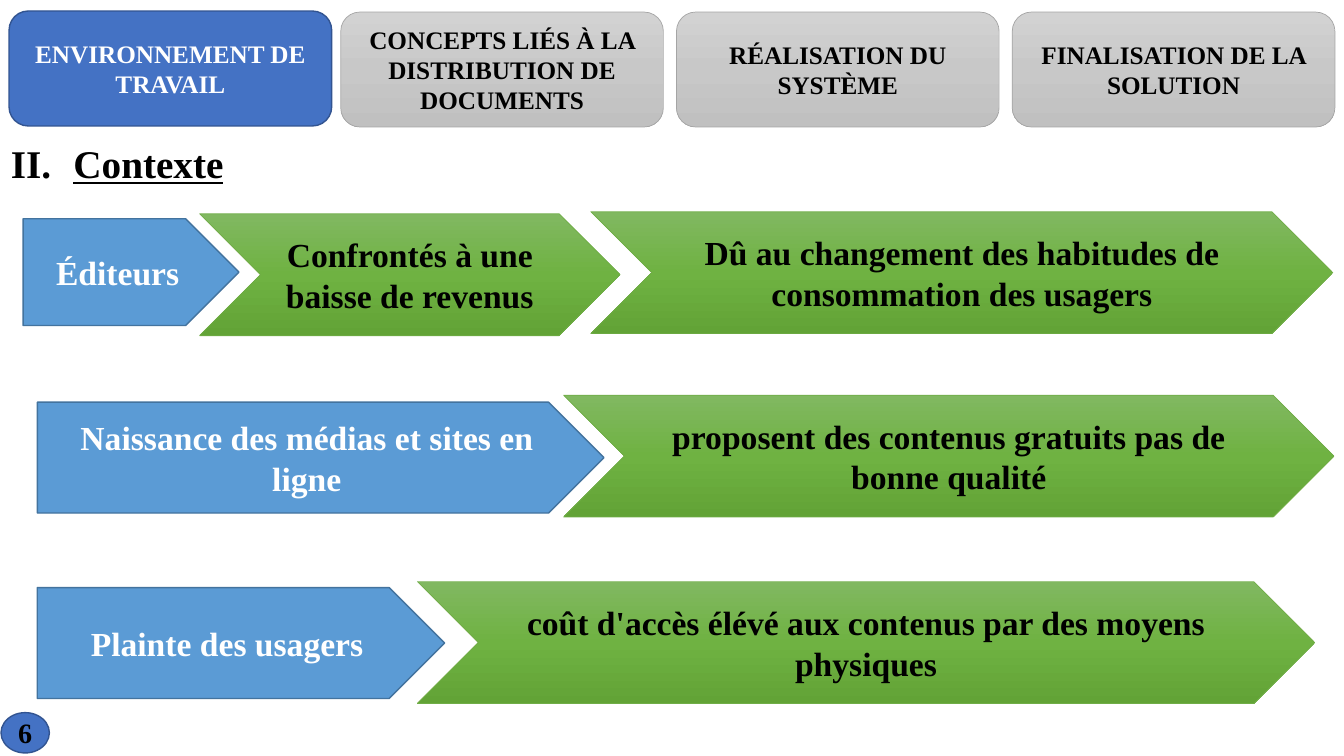
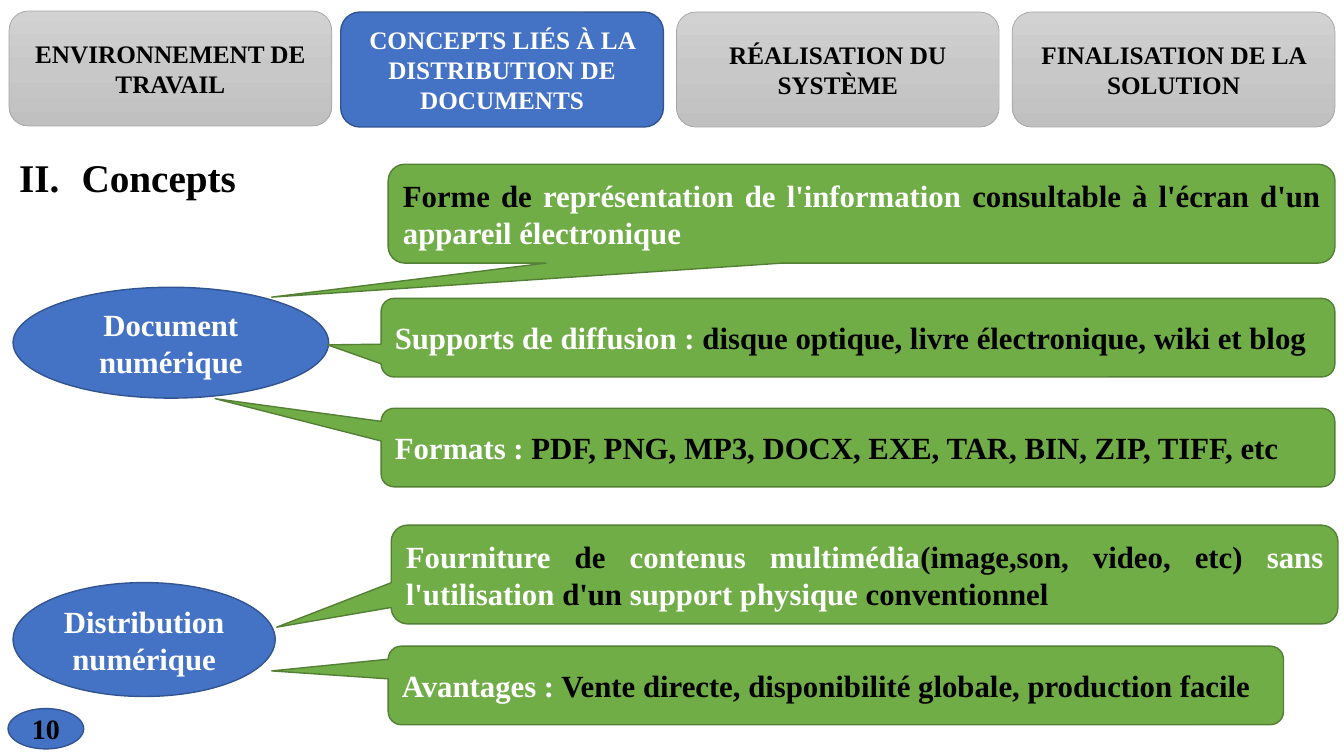
from copy import deepcopy

from lxml import etree
from pptx import Presentation
from pptx.dml.color import RGBColor
from pptx.enum.shapes import MSO_SHAPE
from pptx.enum.text import MSO_ANCHOR, PP_ALIGN
from pptx.oxml.ns import qn
from pptx.util import Inches, Pt

ROUNDED = MSO_SHAPE.ROUNDED_RECTANGLE
OVAL = MSO_SHAPE.OVAL
PENTAGON = MSO_SHAPE.PENTAGON
CHEVRON = MSO_SHAPE.CHEVRON
CALLOUT = MSO_SHAPE.ROUNDED_RECTANGULAR_CALLOUT
LEFT, CENTER, JUSTIFY = PP_ALIGN.LEFT, PP_ALIGN.CENTER, PP_ALIGN.JUSTIFY

FONT = "Times New Roman"
COLORS = {
    "black": "000000", "white": "FFFFFF",
    "blue": "4472C4", "blue_line": "325491",
    "sky": "5B9BD5", "sky_line": "43739E",
    "green": "70AD47", "green_line": "538035",
    "gray_line": "A5A5A5",
    "gray_top": "D2D2D2", "gray_middle": "C8C8C8", "gray_bottom": "C0C0C0",
    "green_top": "81B861", "green_middle": "6FB242", "green_bottom": "62A336",
}
# Style: fill (one colour, or gradient from top to bottom), line colour, line width
STYLES = {
    "blue": (["blue"], "blue_line", 1),
    "sky": (["sky"], "sky_line", 1),
    "callout": (["green"], "green_line", 1),
    "gray": (["gray_top", "gray_middle", "gray_bottom"], "gray_line", 0.5),
    "chevron": (["green_top", "green_middle", "green_bottom"], "green", 0.5),
}

SECTIONS = [
    "ENVIRONNEMENT DE TRAVAIL",
    "CONCEPTS LIÉS À LA DISTRIBUTION DE DOCUMENTS",
    "RÉALISATION DU SYSTÈME",
    "FINALISATION DE LA SOLUTION",
]
TAB_LEFT, TAB_STEP, TAB_WIDTH, TAB_HEIGHT = 3.38, 3.33, 3.2, 1.14
CHEVRON_HEIGHT = 1.21

CONTEXT = {
    "section": 0, "title": "Contexte", "underline": True, "align": LEFT,
    "title_at": (0.01, 1.39, 13.22, 5.97),
    "number": 6, "number_at": (0.01, 7.07, 0.48, 0.4),
}
# Each row: label, its place, then chevrons as (text, left, top, width)
ARROW_ROWS = [
    ("Éditeurs", (0.23, 2.17, 2.14, 1.06), [
        ("Confrontés à une baisse de revenus", 1.98, 2.12, 4.17),
        ("Dû au changement des habitudes de consommation des usagers", 5.86, 2.1, 7.36),
    ]),
    ("Naissance des médias et sites en ligne", (0.37, 3.99, 5.62, 1.1), [
        ("proposent des contenus gratuits pas de bonne qualité", 5.59, 3.92, 7.64),
    ]),
    ("Plainte des usagers", (0.37, 5.83, 4.04, 1.1), [
        ("coût d'accès élévé aux contenus par des moyens physiques", 4.14, 5.77, 8.9),
    ]),
]

CONCEPTS = {
    "section": 1, "title": "Concepts", "underline": False, "align": JUSTIFY,
    "title_at": (0.09, 1.52, 13.15, 5.84),
    "number": 10, "number_at": (0.08, 7.03, 0.75, 0.4),
}
# Each concept: name, its place, then callouts as (place, pointer, spans)
CONCEPT_GROUPS = [
    ("Document numérique", (0.13, 2.85, 3.13, 1.1), [
        ((3.85, 1.63, 9.39, 0.98), (-0.623, 0.845), [
            ("Forme de ", "black"), ("représentation de l'information", "white"),
            (" consultable à l'écran d'un ", "black"), ("appareil électronique", "white")]),
        ((3.78, 2.96, 9.46, 0.78), (-0.556, 0.092), [
            ("Supports de diffusion :", "white"),
            (" disque optique, livre électronique, wiki et blog", "black")]),
        ((3.78, 4.05, 9.46, 0.78), (-0.674, -0.622), [
            ("Formats :", "white"),
            (" PDF, PNG, MP3, DOCX, EXE, TAR, BIN, ZIP, TIFF, etc", "black")]),
    ]),
    ("Distribution numérique", (0.13, 5.78, 2.6, 1.13), [
        ((3.88, 5.21, 9.39, 0.98), (-0.621, 0.533), [
            ("Fourniture ", "white"), ("de ", "black"), ("contenus multimédia", "white"),
            ("(image,son, video, etc) ", "black"), ("sans l'utilisation", "white"),
            (" d'un", "black"), (" support physique", "white"), (" conventionnel", "black")]),
        ((3.85, 6.41, 8.88, 0.78), (-0.63, -0.184), [
            ("Avantages :", "white"),
            (" Vente directe, disponibilité globale, production facile", "black")]),
    ]),
]


def rgb(name):
    return RGBColor.from_string(COLORS[name])


def write(box, text, size, color="black", align=CENTER, anchor=MSO_ANCHOR.MIDDLE,
          underline=None):
    """Fill a box with one bold paragraph; text is a string or (text, colour) spans."""
    frame = box.text_frame
    frame.word_wrap = True
    frame.vertical_anchor = anchor
    para = frame.paragraphs[0]
    para.alignment = align
    for words, tint in [(text, color)] if isinstance(text, str) else text:
        span = para.add_run()
        span.text = words
        font = span.font
        font.name, font.size, font.bold, font.underline = FONT, Pt(size), True, underline
        font.color.rgb = rgb(tint)
    return para


def paint(shape, style):
    fill_names, line_name, line_width = STYLES[style]
    fill = shape.fill
    if len(fill_names) == 1:
        fill.solid()
        fill.fore_color.rgb = rgb(fill_names[0])
    else:
        fill.gradient()
        fill.gradient_angle = 270
        stop_list = next(shape.element.iter(qn("a:gsLst")))
        while len(stop_list) < len(fill_names):
            stop_list.append(deepcopy(stop_list[0]))
        for index, (stop, name) in enumerate(zip(fill.gradient_stops, fill_names)):
            stop.position = index / (len(fill_names) - 1)
            stop.color.rgb = rgb(name)
    shape.line.color.rgb = rgb(line_name)
    shape.line.width = Pt(line_width)
    shape.shadow.inherit = False


def add_box(slide, kind, place, style, text, size, **text_format):
    box = slide.shapes.add_shape(kind, *map(Inches, place))
    paint(box, style)
    write(box, text, size, **text_format)
    return box


def add_title(slide, page):
    box = slide.shapes.add_textbox(*map(Inches, page["title_at"]))
    para = write(box, page["title"], 28, align=page["align"], anchor=MSO_ANCHOR.TOP,
                 underline=page["underline"])
    para.line_spacing = 0.9
    para.space_before = Pt(10)
    properties = para._p.get_or_add_pPr()
    properties.set("marL", str(Inches(0.62)))
    properties.set("indent", str(-Inches(0.62)))
    etree.SubElement(properties, qn("a:buFont"), typeface=FONT)
    etree.SubElement(properties, qn("a:buAutoNum"), type="romanUcPeriod", startAt="2")


def add_page(deck, page):
    """Add a slide with its title, section tabs and page number."""
    slide = deck.slides.add_slide(deck.slide_layouts[6])
    add_title(slide, page)
    for index, section in enumerate(SECTIONS):
        # The first tab sits slightly apart from the regular row.
        left, top = (TAB_LEFT + (index - 1) * TAB_STEP, 0.12) if index else (0.09, 0.11)
        active = index == page["section"]
        add_box(slide, ROUNDED, (left, top, TAB_WIDTH, TAB_HEIGHT),
                "blue" if active else "gray", section, 18,
                color="white" if active else "black")
    add_box(slide, OVAL, page["number_at"], "blue", str(page["number"]), 20)
    return slide


def add_context(deck):
    slide = add_page(deck, CONTEXT)
    for label, place, chevrons in ARROW_ROWS:
        add_box(slide, PENTAGON, place, "sky", label, 24, color="white")
        for text, left, top, width in chevrons:
            add_box(slide, CHEVRON, (left, top, width, CHEVRON_HEIGHT), "chevron", text, 24)


def add_concepts(deck):
    slide = add_page(deck, CONCEPTS)
    for name, place, callouts in CONCEPT_GROUPS:
        add_box(slide, OVAL, place, "blue", name, 22, color="white")
        for callout_place, pointer, spans in callouts:
            callout = add_box(slide, CALLOUT, callout_place, "callout", spans, 22,
                              align=JUSTIFY)
            callout.adjustments[0], callout.adjustments[1] = pointer


def main():
    deck = Presentation()
    deck.slide_width, deck.slide_height = Inches(13.33), Inches(7.5)
    add_context(deck)
    add_concepts(deck)
    deck.save("out.pptx")


if __name__ == "__main__":
    main()
